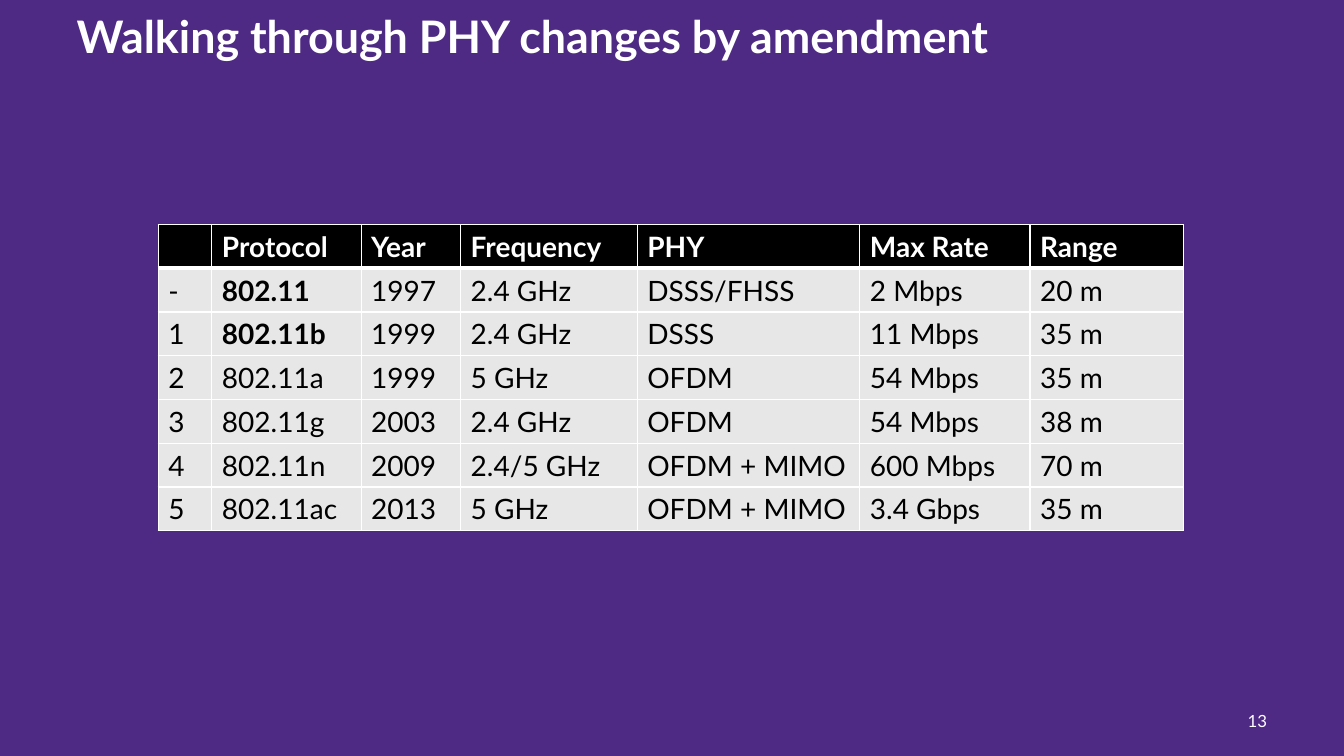
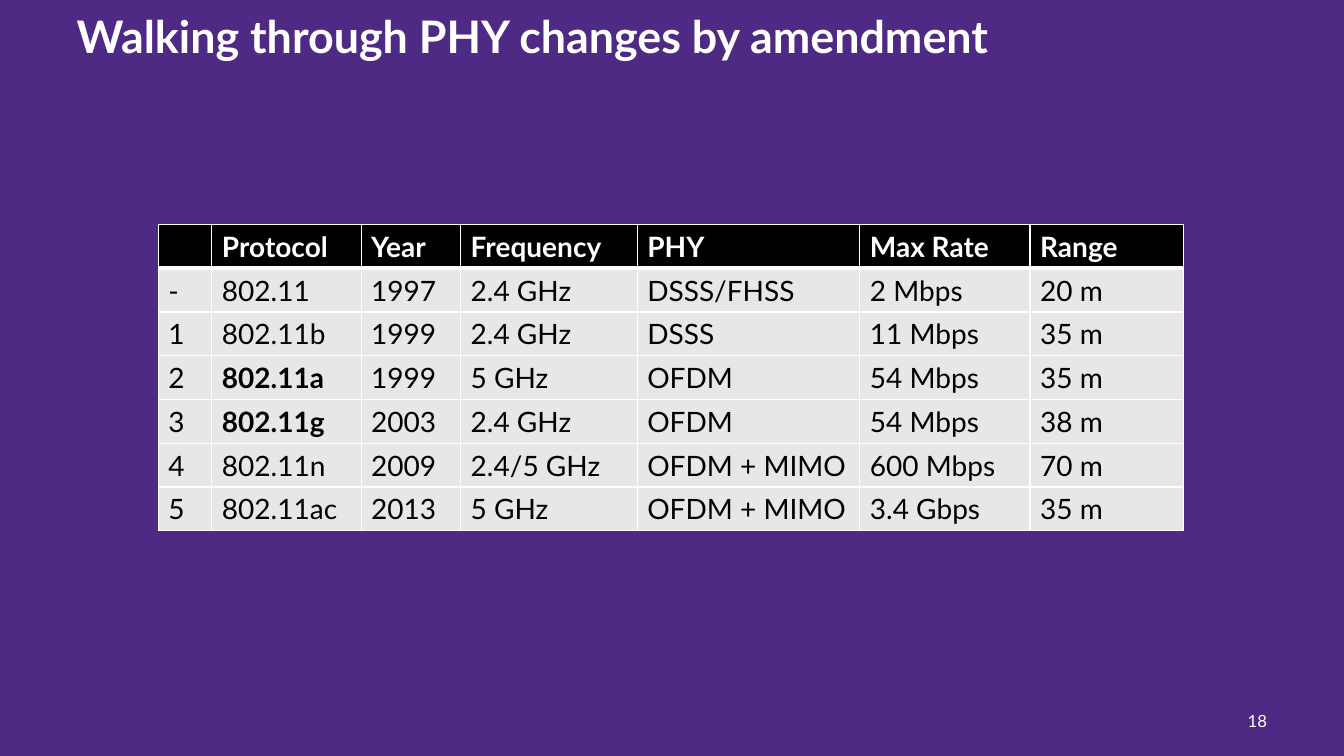
from lxml import etree
from pptx import Presentation
from pptx import util as u
from pptx.dml.color import RGBColor
from pptx.enum import text
from pptx.oxml.ns import qn

PURPLE = RGBColor(0x4E, 0x2A, 0x84)
WHITE = RGBColor(0xFF, 0xFF, 0xFF)
BLACK = RGBColor(0x00, 0x00, 0x00)
GRAY = RGBColor(0xE7, 0xE7, 0xE7)

TITLE = "Walking through PHY changes by amendment"
HEADER = ["", "Protocol", "Year", "Frequency", "PHY", "Max Rate", "Range"]
PROTOCOLS = [
    ["-", "802.11", "1997", "2.4 GHz", "DSSS/FHSS", "2 Mbps", "20 m"],
    ["1", "802.11b", "1999", "2.4 GHz", "DSSS", "11 Mbps", "35 m"],
    ["2", "802.11a", "1999", "5 GHz", "OFDM", "54 Mbps", "35 m"],
    ["3", "802.11g", "2003", "2.4 GHz", "OFDM", "54 Mbps", "38 m"],
    ["4", "802.11n", "2009", "2.4/5 GHz", "OFDM + MIMO", "600 Mbps", "70 m"],
    ["5", "802.11ac", "2013", "5 GHz", "OFDM + MIMO", "3.4 Gbps", "35 m"],
]
COL_WIDTHS = [1.35, 3.76, 2.51, 4.45, 5.61, 4.29, 3.86]
ROW_HEIGHT = 1.1
# Slide number and the protocols in bold on it
SLIDES = [("13", {"802.11", "802.11b"}), ("18", {"802.11a", "802.11g"})]


class Deck:
    def __init__(self):
        self.prs = Presentation()
        self.prs.slide_width, self.prs.slide_height = u.Cm(33.87), u.Cm(19.05)
        self.s = None

    def add_text(self, tf, content, size, color=WHITE, bold=False, **para):
        p = tf.paragraphs[0]
        for name, value in para.items():
            setattr(p, name, value)
        r = p.add_run()
        r.text = content
        r.font.color.rgb = color
        style = {"name": "Lato", "size": u.Pt(size), "bold": bold}
        for name, value in style.items():
            setattr(r.font, name, value)

    def slide(self, title, number):
        self.s = self.prs.slides.add_slide(self.prs.slide_layouts[5])
        fill = self.s.background.fill
        fill.solid()
        fill.fore_color.rgb = PURPLE
        self.number(number)
        self.title(title)

    def title(self, content):
        sp = self.s.shapes.title
        place = {"left": 1.68, "top": 0.03, "width": 30.48, "height": 1.9}
        for name, value in place.items():
            setattr(sp, name, u.Cm(value))
        tf = sp.text_frame
        tf.vertical_anchor = text.MSO_ANCHOR.MIDDLE
        self.add_text(tf, content, 32, bold=True, line_spacing=0.9,
                      alignment=text.PP_ALIGN.LEFT)

    def number(self, content):
        sp = self.s.shapes.add_textbox(u.Cm(29.64), u.Cm(17.65), u.Cm(2.54), u.Cm(1.02))
        tf = sp.text_frame
        tf.word_wrap = True
        tf.vertical_anchor = text.MSO_ANCHOR.MIDDLE
        self.add_text(tf, content, 12, alignment=text.PP_ALIGN.RIGHT)

    def borders(self, cell, **widths):
        """Draw white borders, 1 pt unless a side (L, R, T, B) is given a width."""
        tcPr = cell._tc.get_or_add_tcPr()
        for i, side in enumerate("LRTB"):
            ln = etree.Element(qn(f"a:ln{side}"), w=str(u.Pt(widths.get(side, 1))))
            fill = etree.SubElement(ln, qn("a:solidFill"))
            etree.SubElement(fill, qn("a:srgbClr"), val=str(WHITE))
            tcPr.insert(i, ln)

    def table(self, rows, bold_words):
        frame = self.s.shapes.add_table(
            len(rows), len(COL_WIDTHS), u.Cm(3.99), u.Cm(5.66),
            u.Cm(sum(COL_WIDTHS)), u.Cm(ROW_HEIGHT * len(rows)))
        tbl = frame.table
        for col, width in zip(tbl.columns, COL_WIDTHS):
            col.width = u.Cm(width)
        for i, row in enumerate(rows):
            head = i == 0
            tbl.rows[i].height = u.Cm(ROW_HEIGHT)
            for j, content in enumerate(row):
                cell = tbl.cell(i, j)
                cell.fill.solid()
                cell.fill.fore_color.rgb = BLACK if head else GRAY
                self.borders(cell, B=3 if head else 1, T=3 if i == 1 else 1)
                if content:
                    self.add_text(cell.text_frame, content, 20,
                                  WHITE if head else BLACK,
                                  head or content in bold_words)


def main():
    deck = Deck()
    for number, bold_words in SLIDES:
        deck.slide(TITLE, number)
        deck.table([HEADER] + PROTOCOLS, bold_words)
    deck.prs.save("out.pptx")


if __name__ == "__main__":
    main()
